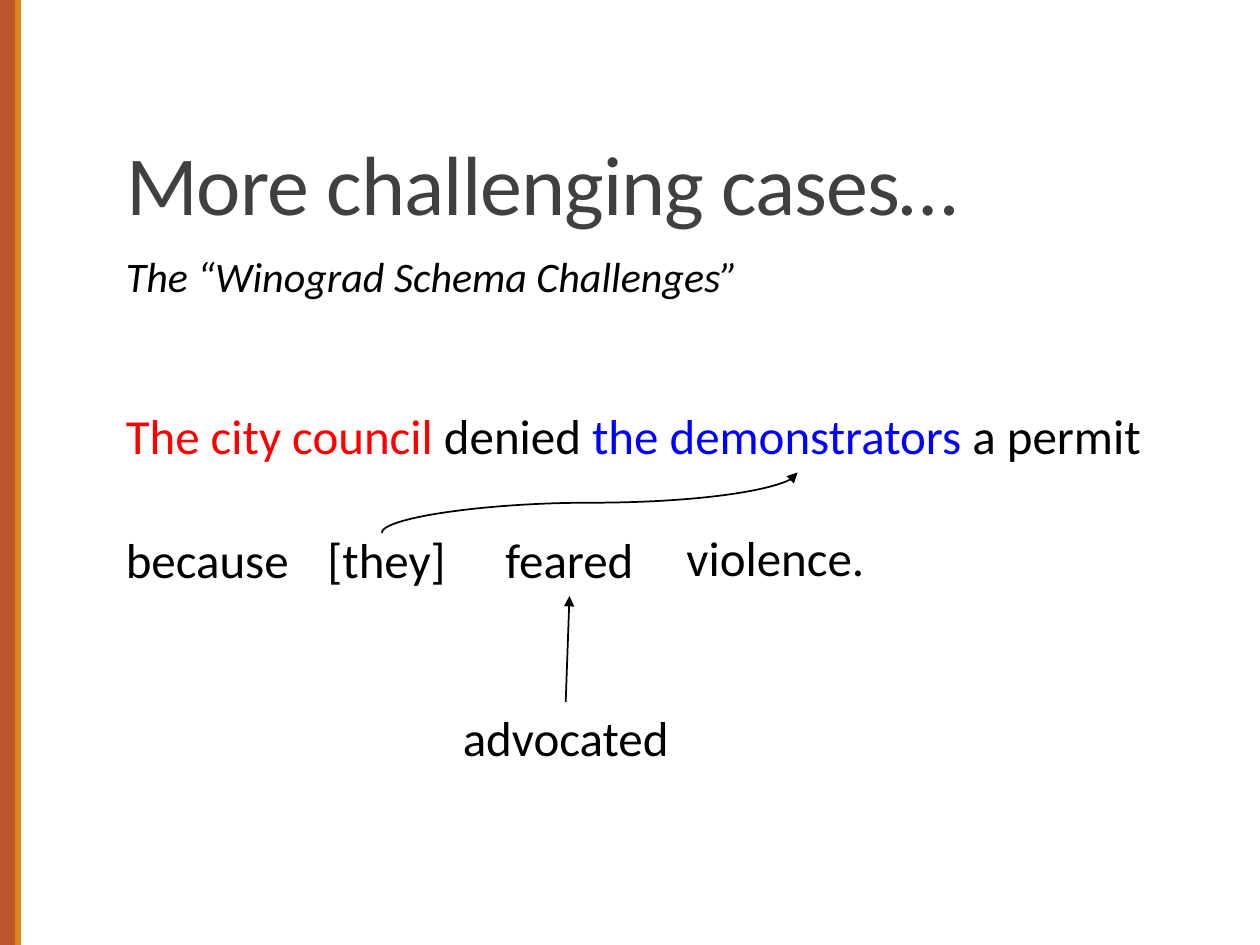
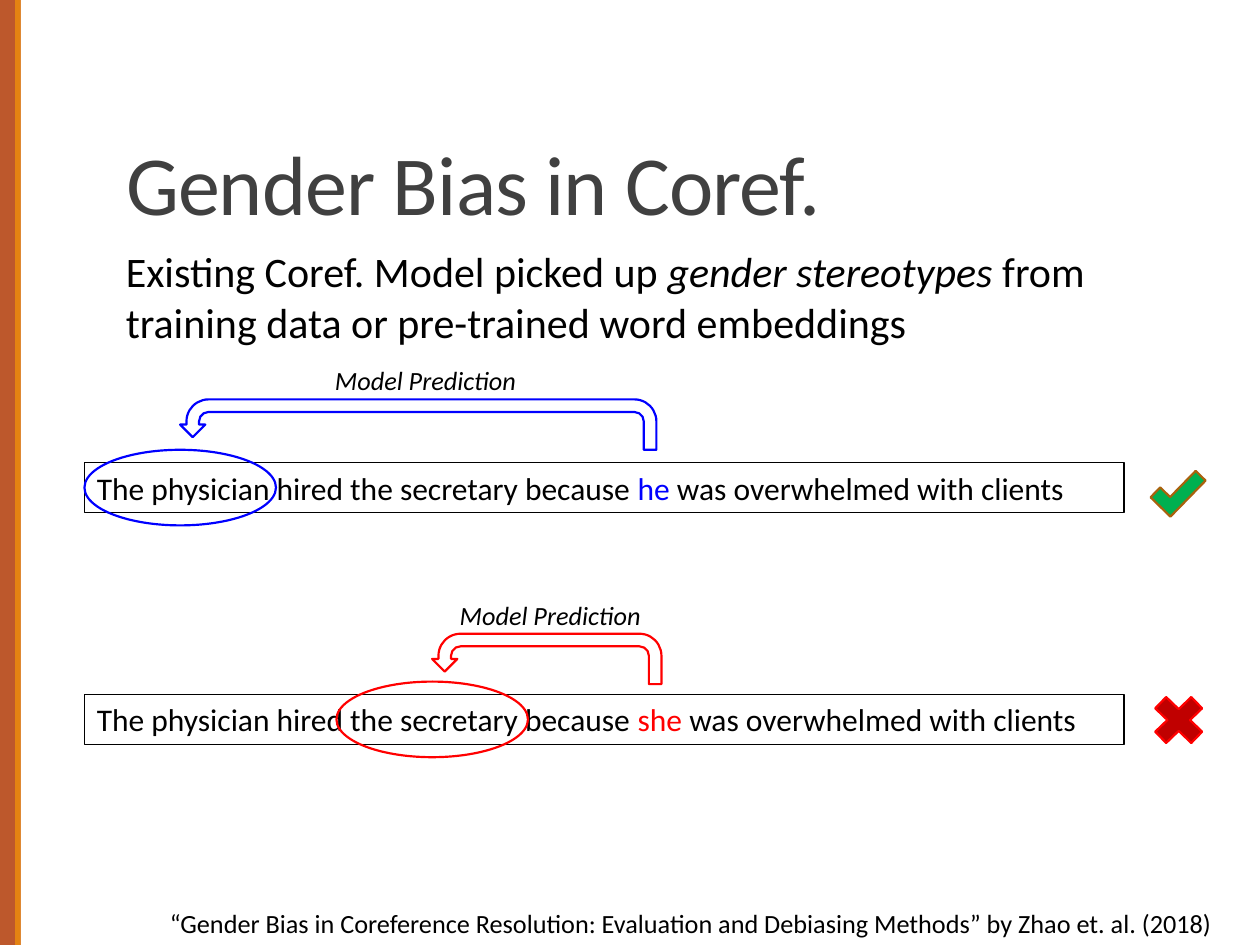
from dataclasses import dataclass
from typing import Any, Optional

from lxml import etree
from pptx import Presentation, util as u
from pptx.dml.color import RGBColor
from pptx.enum import shapes, text
from pptx.oxml.ns import qn

FONT = "Calibri"
BLACK = RGBColor(0x00, 0x00, 0x00)
WHITE = RGBColor(0xFF, 0xFF, 0xFF)
RED = RGBColor(0xFF, 0x00, 0x00)
BLUE = RGBColor(0x00, 0x00, 0xFF)
TITLE_GREY = RGBColor(0x40, 0x40, 0x40)
BAND_RUST = RGBColor(0xBD, 0x58, 0x2C)
BAND_ORANGE = RGBColor(0xE4, 0x83, 0x12)
CROSS_RED = RGBColor(0xC0, 0x00, 0x00)
CHECK_GREEN = RGBColor(0x00, 0xB0, 0x50)
CHECK_EDGE = RGBColor(0xA9, 0x61, 0x0D)

SLIDE_WIDTH, SLIDE_HEIGHT = u.Inches(10), u.Inches(7.5)
COLUMNS, ROWS = 100, 75
TITLE_ONLY = 5
TEXT_LEFT = 9
MARK_LINE = 1.25


@dataclass(frozen=True)
class Box:
    """A rectangle in grid columns and rows."""
    left: float
    top: float
    width: float
    height: float

    def lengths(self) -> tuple[int, int, int, int]:
        return (*point(self.left, self.top), *point(self.width, self.height))


@dataclass(frozen=True)
class Run:
    words: str
    color: RGBColor = BLACK
    italic: bool = False


@dataclass(frozen=True)
class Label:
    box: Box
    size: float
    runs: tuple[Run, ...]
    align: text.PP_ALIGN = text.PP_ALIGN.LEFT


@dataclass(frozen=True)
class Prediction:
    """A sentence whose pronoun the model links to the circled noun."""
    pronoun: str
    color: RGBColor
    sentence_top: float
    noun_left: float
    arrow: Box
    caption: Box


@dataclass(frozen=True)
class Verdict:
    kind: shapes.MSO_SHAPE
    box: Box
    fill: RGBColor
    edge: RGBColor
    rotation: float = 0


def point(column: float, row: float) -> tuple[int, int]:
    return round(SLIDE_WIDTH * column / COLUMNS), round(SLIDE_HEIGHT * row / ROWS)


BANDS = ((Box(0, 0, 1.65, ROWS), BAND_RUST), (Box(1.2, 0, 0.45, ROWS), BAND_ORANGE))
TITLE_BOX = Box(TEXT_LEFT, 3.1, 82.5, 15.9)

WINOGRAD_LABELS = (
    Label(Box(TEXT_LEFT, 19.4, 72.2, 5), 24,
          (Run("The “Winograd Schema Challenges”", italic=True),)),
    Label(Box(TEXT_LEFT, 31.7, 85.2, 9.8), 28,
          (Run("The city council ", RED), Run("denied "),
           Run("the demonstrators ", BLUE), Run("a permit"))),
    Label(Box(25, 41.5, 12.5, 5.7), 28, (Run("[they]"),)),
    Label(Box(TEXT_LEFT, 41.5, 15.2, 5.7), 28, (Run("because"),)),
    Label(Box(35.4, 41.5, 19.6, 5.7), 28, (Run("feared"),), text.PP_ALIGN.CENTER),
    Label(Box(53.5, 41.4, 19.6, 5.7), 28, (Run("violence."),)),
    Label(Box(35.1, 55.7, 19.6, 5.7), 28, (Run("advocated"),), text.PP_ALIGN.CENTER),
)

BIAS_LABELS = (
    Label(Box(12.5, 71.5, 87.5, 3.5), 15,
          (Run("“Gender Bias in Coreference Resolution: Evaluation and "
               "Debiasing Methods” by Zhao et. al. (2018)"),)),
    Label(Box(TEXT_LEFT, 19, 79.3, 9.1), 24,
          (Run("Existing Coref. Model picked up "), Run("gender stereotypes ", italic=True),
           Run("from training data or pre-trained word embeddings"))),
)

PREDICTIONS = (
    Prediction("he", BLUE, 36.7, 6.7, Box(14.3, 31.7, 37.8, 4), Box(25.6, 28.4, 24.8, 3.5)),
    Prediction("she", RED, 55.1, 26.7, Box(34.3, 50.3, 18.2, 4), Box(35.5, 47.1, 24.8, 3.5)),
)

VERDICTS = (
    Verdict(shapes.MSO_SHAPE.MATH_MULTIPLY, Box(90.8, 54.5, 5.5, 5.3), CROSS_RED, RED),
    Verdict(shapes.MSO_SHAPE.CORNER, Box(91.5, 37.7, 4, 2.2), CHECK_GREEN, CHECK_EDGE, 314.3),
)


def apply(target: Any, values: dict[str, Any]) -> None:
    for name, value in values.items():
        setattr(target, name, value)


def write_runs(paragraph: Any, runs: tuple[Run, ...], size: float) -> None:
    for part in runs:
        run = paragraph.add_run()
        run.text = part.words
        apply(run.font, {"name": FONT, "size": u.Pt(size), "italic": part.italic})
        run.font.color.rgb = part.color


def add_label(slide: Any, label: Label) -> Any:
    shape = slide.shapes.add_textbox(*label.box.lengths())
    shape.text_frame.word_wrap = True
    paragraph = shape.text_frame.paragraphs[0]
    paragraph.alignment = label.align
    write_runs(paragraph, label.runs, label.size)
    return shape


def set_line(shape: Any, color: RGBColor, width: float) -> None:
    shape.line.color.rgb = color
    shape.line.width = u.Pt(width)


def add_figure(slide: Any, kind: shapes.MSO_SHAPE, box: Box,
               fill: Optional[RGBColor] = None, edge: Optional[RGBColor] = None) -> Any:
    shape = slide.shapes.add_shape(kind, *box.lengths())
    shape.shadow.inherit = False
    if fill is None:
        shape.fill.background()
    else:
        shape.fill.solid()
        shape.fill.fore_color.rgb = fill
    if edge is None:
        shape.line.fill.background()
    else:
        set_line(shape, edge, MARK_LINE)
    return shape


def transform_of(shape: Any) -> Any:
    return shape.element.spPr.find(qn("a:xfrm"))


def add_arrow(slide: Any, kind: shapes.MSO_CONNECTOR, start: tuple[float, float],
              end: tuple[float, float]) -> Any:
    connector = slide.shapes.add_connector(kind, *point(*start), *point(*end))
    set_line(connector, BLACK, 1)
    line = connector.element.spPr.find(qn("a:ln"))
    etree.SubElement(line, qn("a:tailEnd"), type="triangle")
    etree.SubElement(connector.element.spPr, qn("a:effectLst"))
    return connector


def add_titled_slide(presentation: Any, title: str) -> Any:
    slide = presentation.slides.add_slide(presentation.slide_layouts[TITLE_ONLY])
    shape = slide.shapes.title
    apply(shape, dict(zip(("left", "top", "width", "height"), TITLE_BOX.lengths())))
    apply(shape.text_frame, {"auto_size": text.MSO_AUTO_SIZE.NONE, "word_wrap": True,
                             "vertical_anchor": text.MSO_ANCHOR.BOTTOM})
    paragraph = shape.text_frame.paragraphs[0]
    apply(paragraph, {"alignment": text.PP_ALIGN.LEFT, "line_spacing": 0.85})
    write_runs(paragraph, (Run(title, TITLE_GREY),), 48)
    paragraph.runs[0].font._element.set("spc", "-50")
    return slide


def move_bands_to_layout(slide: Any) -> None:
    """Put the side bands on the layout, so that every slide shows them."""
    for box, color in BANDS:
        band = add_figure(slide, shapes.MSO_SHAPE.RECTANGLE, box, color)
        slide.slide_layout.shapes.element.append(band.element)


def add_prediction(slide: Any, prediction: Prediction) -> None:
    color, top = prediction.color, prediction.sentence_top
    sentence = add_label(slide, Label(
        Box(6.7, top, 82.5, 4), 18,
        (Run("The physician hired the secretary because "), Run(prediction.pronoun, color),
         Run(" was overwhelmed with clients"))))
    set_line(sentence, BLACK, 0.75)
    arrow = add_figure(slide, shapes.MSO_SHAPE.U_TURN_ARROW, prediction.arrow, WHITE, color)
    transform_of(arrow).set("flipH", "1")
    add_figure(slide, shapes.MSO_SHAPE.OVAL,
               Box(prediction.noun_left, top - 1, 15.2, 6), edge=color)
    add_label(slide, Label(prediction.caption, 15, (Run("Model Prediction", italic=True),)))


def build_winograd_slide(presentation: Any) -> None:
    slide = add_titled_slide(presentation, "More challenging cases…")
    move_bands_to_layout(slide)
    for label in WINOGRAD_LABELS:
        add_label(slide, label)
    they_link = add_arrow(slide, shapes.MSO_CONNECTOR.CURVE, (49.2, 56.4), (44.4, 23.4))
    transform_of(they_link).set("rot", str(90 * 60000))
    add_arrow(slide, shapes.MSO_CONNECTOR.STRAIGHT, (44.9, 55.7), (45.2, 47.3))


def build_bias_slide(presentation: Any) -> None:
    slide = add_titled_slide(presentation, "Gender Bias in Coref.")
    for label in BIAS_LABELS:
        add_label(slide, label)
    for prediction in PREDICTIONS:
        add_prediction(slide, prediction)
    for verdict in VERDICTS:
        mark = add_figure(slide, verdict.kind, verdict.box, verdict.fill, verdict.edge)
        mark.rotation = verdict.rotation


def main() -> None:
    presentation = Presentation()
    apply(presentation, {"slide_width": SLIDE_WIDTH, "slide_height": SLIDE_HEIGHT})
    build_winograd_slide(presentation)
    build_bias_slide(presentation)
    presentation.save("out.pptx")


if __name__ == "__main__":
    main()
